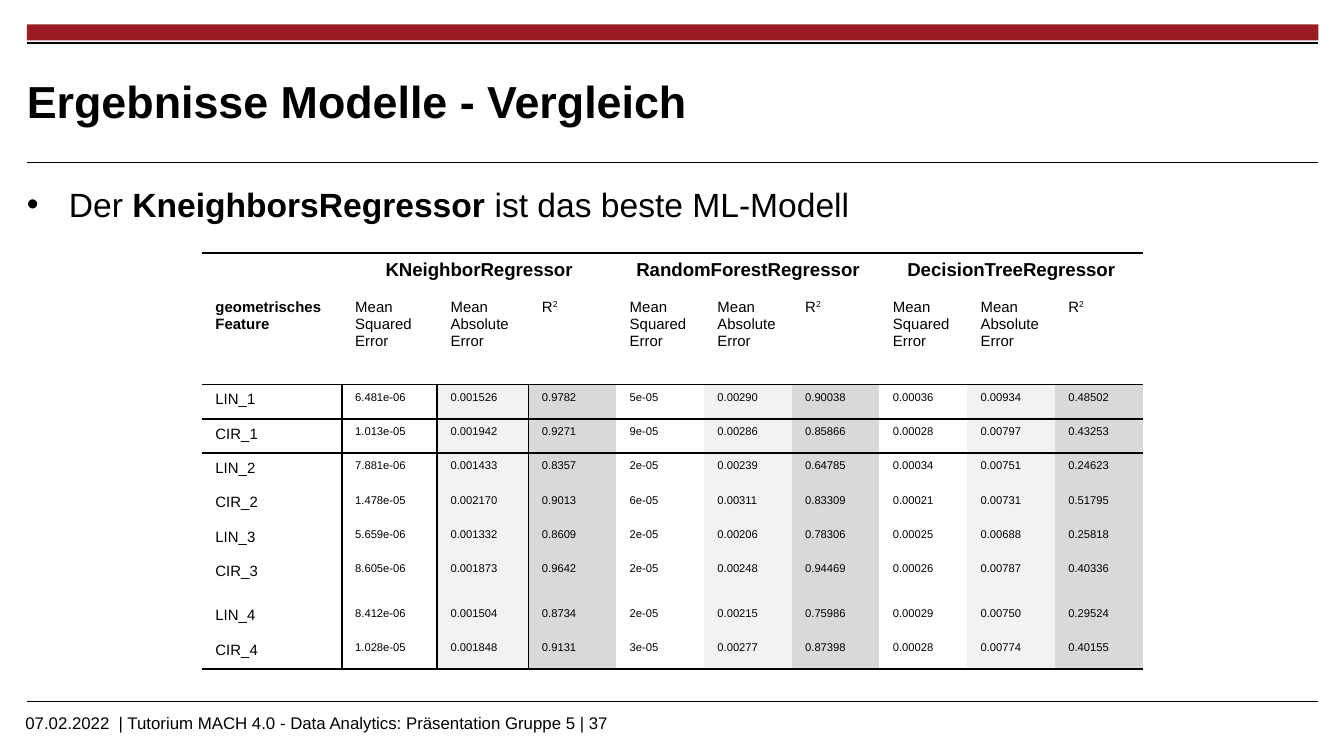
"""Build the slide that compares three regression models."""
import pptx
import pptx.dml.color
import pptx.enum.shapes
import pptx.enum.text
import pptx.oxml.ns
import pptx.util
from lxml import etree

Pt = pptx.util.Pt
RGB = pptx.dml.color.RGBColor
ALIGN = pptx.enum.text.PP_ALIGN
ANCHOR = pptx.enum.text.MSO_ANCHOR
qn = pptx.oxml.ns.qn

BLACK = RGB(0, 0, 0)
RED = RGB(0x9C, 0x1C, 0x26)
WHITE = RGB(0xFF, 0xFF, 0xFF)
LIGHT = RGB(0xF2, 0xF2, 0xF2)
GRAY = RGB(0xD9, 0xD9, 0xD9)
FONT = "Arial"
PLAIN = "{2D5ABB26-0587-4C30-8999-92F81FD0307C}"

TITLE = "Ergebnisse Modelle - Vergleich"
POINT = [("Der ", False), ("KneighborsRegressor", True),
         (" ist das beste ML-Modell", False)]
FOOTER = "07.02.2022  | Tutorium MACH 4.0 - Data Analytics: Präsentation Gruppe 5 | 37"
MODELS = ["KNeighborRegressor", "RandomForestRegressor", "DecisionTreeRegressor"]
SCORES = ["Mean Squared\nError", "Mean\nAbsolute\nError", "R^2"]
DATA = [
    "LIN_1 6.481e-06 0.001526 0.9782 5e-05 0.00290 0.90038 0.00036 0.00934 0.48502",
    "CIR_1 1.013e-05 0.001942 0.9271 9e-05 0.00286 0.85866 0.00028 0.00797 0.43253",
    "LIN_2 7.881e-06 0.001433 0.8357 2e-05 0.00239 0.64785 0.00034 0.00751 0.24623",
    "CIR_2 1.478e-05 0.002170 0.9013 6e-05 0.00311 0.83309 0.00021 0.00731 0.51795",
    "LIN_3 5.659e-06 0.001332 0.8609 2e-05 0.00206 0.78306 0.00025 0.00688 0.25818",
    "CIR_3 8.605e-06 0.001873 0.9642 2e-05 0.00248 0.94469 0.00026 0.00787 0.40336",
    "LIN_4 8.412e-06 0.001504 0.8734 2e-05 0.00215 0.75986 0.00029 0.00750 0.29524",
    "CIR_4 1.028e-05 0.001848 0.9131 3e-05 0.00277 0.87398 0.00028 0.00774 0.40155",
]
COLS = [74.9, 51.1, 49] + [47] * 7
ROWS = [21, 49.5] + [18.4] * 5 + [23.8] + [18.4] * 2
LEFT, RIGHT = 14.4, 706.3
RULES = [(23.2, 1.2), (87.1, 0.6), (375.8, 0.6)]


def style(para, size, bold=False, align=ALIGN.LEFT):
    para.alignment = align
    font = para.font
    font.name, font.size, font.bold = FONT, Pt(size), bold
    font.color.rgb = BLACK


def place(shape, left, top, width, height):
    shape.left, shape.top = Pt(left), Pt(top)
    shape.width, shape.height = Pt(width), Pt(height)


def rule(slide, top, width):
    line = slide.shapes.add_connector(
        pptx.enum.shapes.MSO_CONNECTOR.STRAIGHT, Pt(LEFT), Pt(top), Pt(RIGHT), Pt(top))
    line.line.color.rgb = BLACK
    line.line.width = Pt(width)
    etree.SubElement(line._element.spPr, qn("a:effectLst"))


def border(cell, sides):
    props = cell._tc.get_or_add_tcPr()
    for side in "LRTB":
        if side in sides:
            line = etree.SubElement(props, qn("a:ln" + side), w=str(Pt(1)))
            fill = etree.SubElement(line, qn("a:solidFill"))
            etree.SubElement(fill, qn("a:srgbClr"), val=str(BLACK))


def write(cell, text, size, bold=False, align=ALIGN.LEFT):
    base, _, power = text.partition("^")
    cell.text = base
    for para in cell.text_frame.paragraphs:
        style(para, size, bold, align)
    if power:
        run = para.add_run()
        run.text = power
        run._r.get_or_add_rPr().set("baseline", "30000")
    if not text:
        etree.SubElement(para._p, qn("a:endParaRPr"), sz=str(size * 100))


def sides(row, col):
    found = ""
    if row in (0, 2, 3):
        found += "T"
    if row in (1, 2, len(ROWS) - 1):
        found += "B"
    if row > 1 and col in (1, 2):
        found += "L"
    if row > 1 and col in (0, 1):
        found += "R"
    return found


def add_grid(slide):
    frame = slide.shapes.add_table(len(ROWS), len(COLS), Pt(108.2), Pt(135.5),
                                   Pt(sum(COLS)), Pt(sum(ROWS)))
    table = frame.table
    table.first_row = table.horz_banding = False
    table._tbl.tblPr.find(qn("a:tableStyleId")).text = PLAIN
    for col, width in zip(table.columns, COLS):
        col.width = Pt(width)
    for row, height in zip(table.rows, ROWS):
        row.height = Pt(height)
    heads = [""] + [text for name in MODELS for text in (name, "", "")]
    body = [heads, ["geometrisches Feature"] + SCORES * 3]
    body += [line.split() for line in DATA]
    for r, line in enumerate(body):
        for c, text in enumerate(line):
            cell = table.cell(r, c)
            if r == 0:
                write(cell, text, 10, True, ALIGN.CENTER)
            else:
                write(cell, text, 6 if r > 1 and c else 8, r == 1 and c == 0)
            border(cell, sides(r, c))
            if r == 0:
                cell.fill.background()
            else:
                cell.fill.solid()
                shade = (WHITE, LIGHT, GRAY)[(c - 1) % 3] if r > 1 and c else WHITE
                cell.fill.fore_color.rgb = shade
    for c in range(1, len(COLS), 3):
        table.cell(0, c).merge(table.cell(0, c + 2))


def add_text(slide):
    title, body = slide.placeholders
    place(title, LEFT, 28.8, 537, 49.7)
    place(body, LEFT, 93.6, RIGHT - LEFT, 264.2)
    for shape, edge in ((title, 0), (body, 5)):
        frame = shape.text_frame
        frame.auto_size = pptx.enum.text.MSO_AUTO_SIZE.NONE
        frame.margin_left = frame.margin_right = 0
        frame.margin_top = frame.margin_bottom = Pt(edge)
    title.text_frame.vertical_anchor = ANCHOR.MIDDLE
    title.text_frame.text = TITLE
    style(title.text_frame.paragraphs[0], 24, True)

    para = body.text_frame.paragraphs[0]
    props = para._p.get_or_add_pPr()
    props.set("marL", str(Pt(22.5)))
    props.set("indent", str(-Pt(22.5)))
    para.space_before, para.space_after = Pt(0), Pt(2.2)
    etree.SubElement(props, qn("a:buFont"), typeface=FONT)
    etree.SubElement(props, qn("a:buChar"), char="•")
    style(para, 18)
    for text, bold in POINT:
        run = para.add_run()
        run.text = text
        run.font.bold = bold

    foot = slide.shapes.add_textbox(Pt(6.5), Pt(378), Pt(572.4), Pt(13.7))
    foot.text_frame.word_wrap = True
    foot.text_frame.text = FOOTER
    style(foot.text_frame.paragraphs[0], 9)


def main():
    deck = pptx.Presentation()
    deck.slide_width, deck.slide_height = Pt(720), Pt(405)
    slide = deck.slides.add_slide(deck.slide_layouts[1])
    bar = slide.shapes.add_shape(pptx.enum.shapes.MSO_SHAPE.RECTANGLE,
                                 Pt(LEFT), Pt(13), Pt(RIGHT - LEFT), Pt(8.6))
    bar.shadow.inherit = False
    bar.fill.solid()
    bar.fill.fore_color.rgb = RED
    bar.line.fill.background()
    for top, width in RULES:
        rule(slide, top, width)
    add_text(slide)
    add_grid(slide)
    deck.save("out.pptx")


if __name__ == "__main__":
    main()
